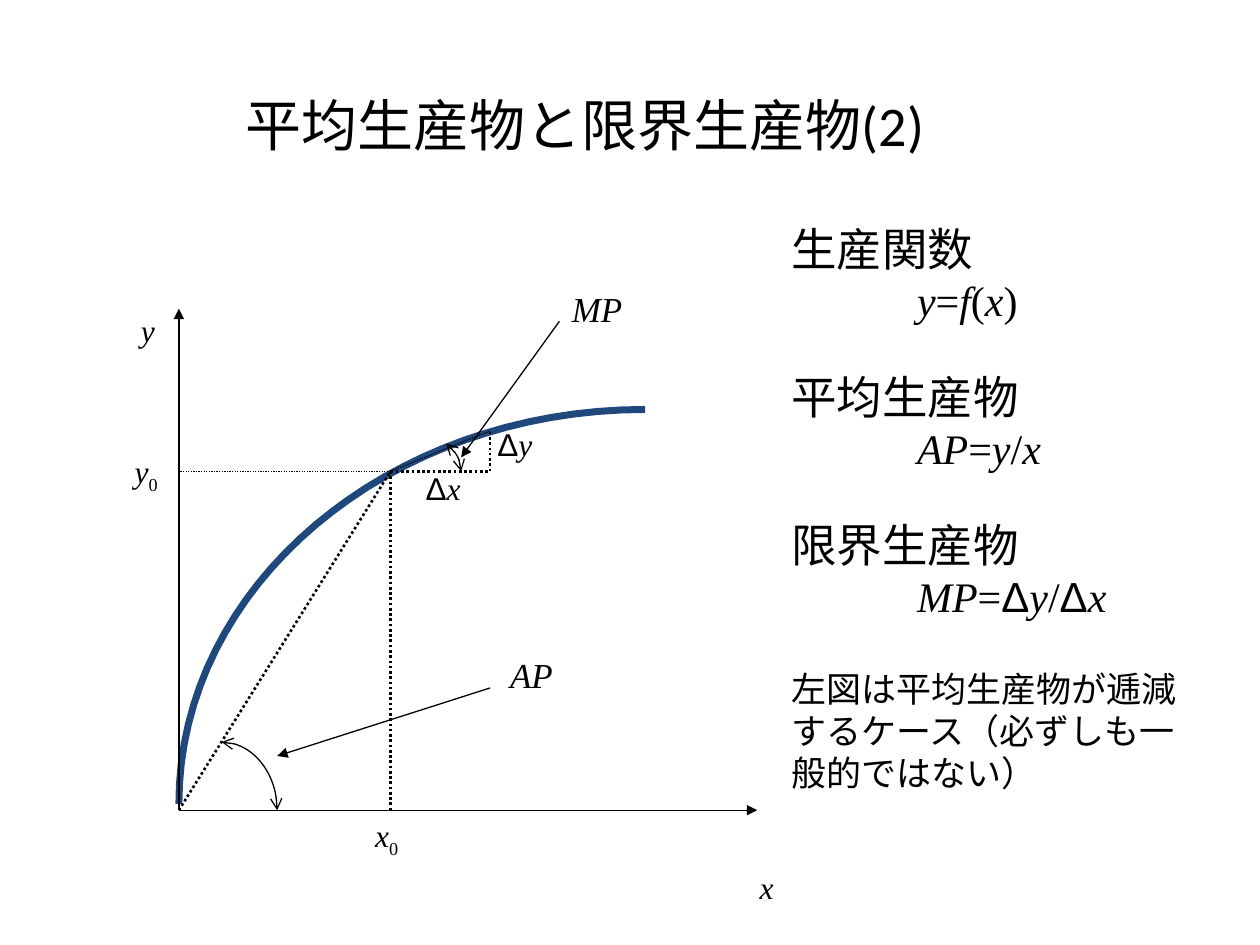
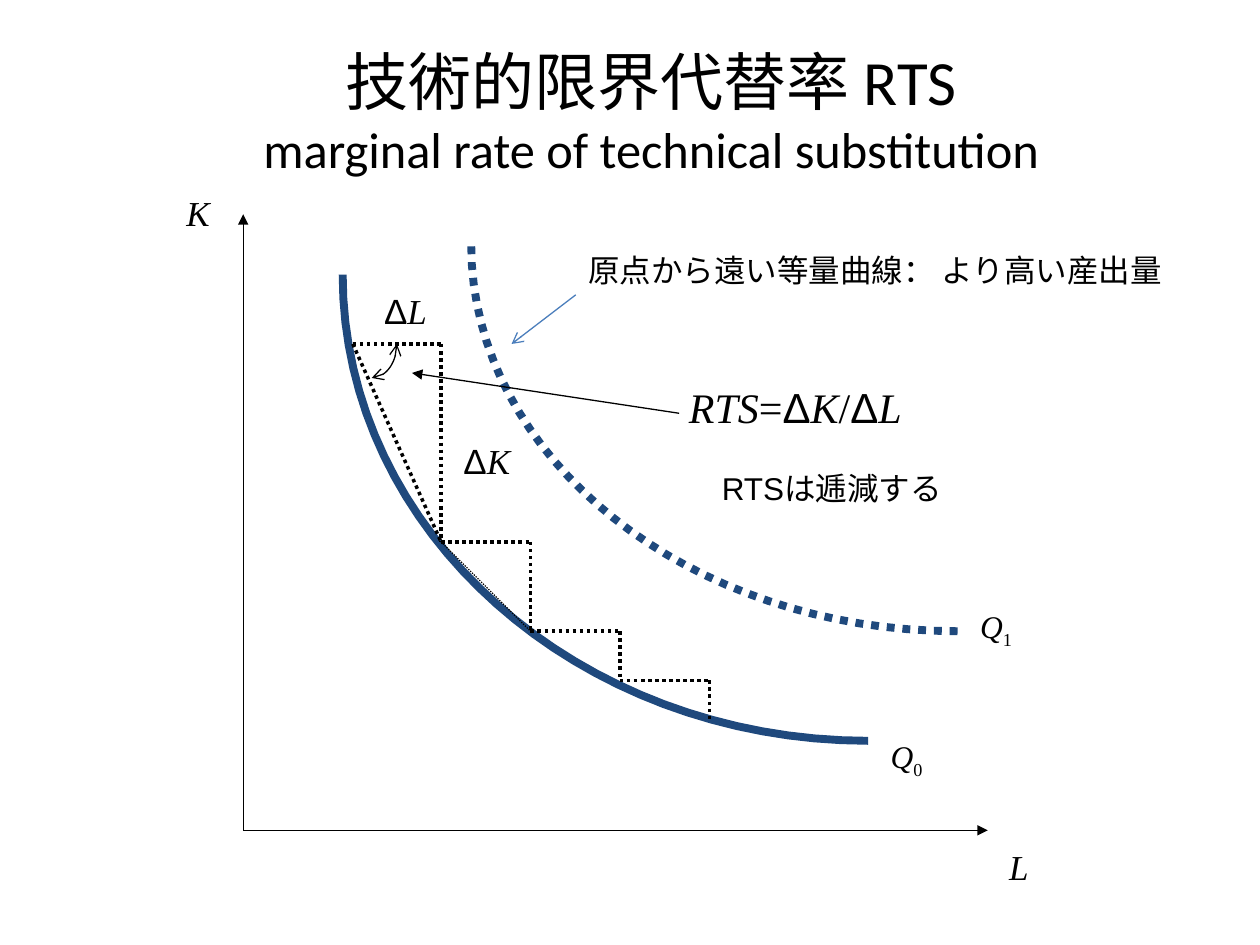
from itertools import groupby
from lxml import etree
from pptx import Presentation
from pptx.dml.color import RGBColor
from pptx.enum.dml import MSO_LINE
from pptx.enum.shapes import MSO_CONNECTOR
from pptx.enum.text import MSO_ANCHOR, PP_ALIGN
from pptx.oxml.ns import qn
from pptx.util import Inches, Pt

STRAIGHT = MSO_CONNECTOR.STRAIGHT
DOTTED = MSO_LINE.ROUND_DOT
MIDDLE = MSO_ANCHOR.MIDDLE
CENTER = PP_ALIGN.CENTER
BLACK, NAVY, BLUE = "000000", "1F497D", "4B7EBC"
SERIF, SANS, TITLE_FONT = "Times New Roman", "Arial", "Calibri"
CURVE_STEPS = 32


def stroke(shape, color, width, dash=None, head=None, tail=None):
    shape.line.color.rgb = RGBColor.from_string(color)
    shape.line.width = Pt(width)
    if dash:
        shape.line.dash_style = dash
    ln = shape.line._get_or_add_ln()
    for end, kind in (("a:headEnd", head), ("a:tailEnd", tail)):
        if kind:
            etree.SubElement(ln, qn(end)).set("type", kind)


def write(paragraph, text, size, font=None):
    if font:
        pieces = [(font, text)]
    else:
        kinds = groupby(text, lambda c: "delta" if c == "Δ" else "index" if c.isdigit()
                        else "variable" if c.isalpha() else "sign")
        pieces = [(kind, "".join(chars)) for kind, chars in kinds]
    for kind, piece in pieces:
        run = paragraph.add_run()
        run.text = piece
        run.font.size = Pt(size)
        run.font.name = font or (SANS if kind == "delta" else SERIF)
        run.font.italic = kind == "variable"
        run.font.color.rgb = RGBColor.from_string(BLACK)
        if kind == "index":
            run._r.get_or_add_rPr().set("baseline", "-25000")


prs = Presentation()
prs.slide_width, prs.slide_height = Inches(10), Inches(7.5)

product_title = ((0.35, 0.44, 8.58, 1.09), [("平均生産物と限界生産物(2)", 32)])
product_curves = [
    ([(5.12, 3.25), (3.08, 3.25), (1.42, 4.65), (1.42, 6.38)], NAVY, 4, None, None),
    ([(1.76, 5.89), (2, 5.89), (2.2, 6.13), (2.2, 6.43)], BLACK, 0.75, None, "arrow"),
    ([(3.54, 3.52), (3.62, 3.58), (3.66, 3.66), (3.66, 3.74)], BLACK, 0.75, None, "arrow"),
]
origin, point, stepped, risen = (1.42, 6.43), (3.1, 3.74), (3.89, 3.74), (3.89, 3.42)
product_lines = [
    (origin, (6.01, 6.43), BLACK, 0.75, None, "triangle"),
    (origin, (1.42, 2.45), BLACK, 0.75, None, "triangle"),
    (origin, point, BLACK, 1.5, DOTTED, None),
    (point, (3.1, 6.43), BLACK, 1.5, DOTTED, None),
    (point, (1.42, 3.74), BLACK, 0.75, DOTTED, None),
    (point, stepped, BLACK, 1.5, DOTTED, None),
    (stepped, risen, BLACK, 1.5, DOTTED, None),
    (point, risen, BLACK, 0.75, DOTTED, None),
    ((3.89, 5.46), (2.2, 6), BLACK, 0.75, None, "triangle"),
    ((4.44, 2.55), (3.66, 3.63), BLACK, 0.75, None, "triangle"),
]
product_labels = [
    ("y0", (0.97, 3.54, 0.56, 0.4), 18, None),
    ("x", (5.93, 6.84, 0.38, 0.4), 18, None),
    ("x0", (2.88, 6.43, 0.56, 0.4), 18, None),
    ("y", (1.02, 2.42, 0.39, 0.4), 18, None),
    ("Δx", (3.28, 3.67, 0.67, 0.55), 18, None),
    ("Δy", (3.85, 3.32, 0.67, 0.55), 18, None),
    ("AP", (3.95, 5.14, 0.9, 0.44), 20, None),
    ("MP", (4.44, 2.23, 0.9, 0.44), 20, None),
]

rts_title = ((0.67, 0.25, 9, 1.25),
             [("技術的限界代替率 RTS", 36), ("marginal rate of technical substitution", 28.8)])
rts_curves = [
    ([(6.89, 5.88), (4.59, 5.88), (2.72, 4.22), (2.72, 2.18)], NAVY, 4.5, None, None),
    ([(7.6, 5.01), (5.47, 5.01), (3.74, 3.64), (3.74, 1.94)], NAVY, 4.5, DOTTED, None),
    ([(3.15, 2.73), (3.15, 2.88), (3.06, 3), (2.95, 3)], BLACK, 0.75, None, "arrow"),
]
rts_lines = [
    ((1.93, 6.59), (7.84, 6.59), BLACK, 0.75, None, "triangle"),
    ((1.93, 6.59), (1.93, 1.7), BLACK, 0.75, None, "triangle"),
    ((2.8, 2.73), (3.5, 4.3), BLACK, 2, DOTTED, None),
    ((3.5, 4.3), (4.21, 5.01), BLACK, 0.75, DOTTED, None),
    ((5.39, 3.28), (3.27, 2.96), BLACK, 0.75, None, "triangle"),
    ((4.57, 2.34), (4.06, 2.73), BLUE, 0.75, None, "arrow"),
]
stairs = [(2.8, 2.73), (3.5, 4.3), (4.21, 5.01), (4.92, 5.4), (5.63, 5.72)]
for (left, top), (right, bottom) in zip(stairs, stairs[1:]):
    rts_lines.append(((left, top), (right, top), BLACK, 2, DOTTED, None))
    rts_lines.append(((right, top), (right, bottom), BLACK, 2, DOTTED, None))
rts_labels = [
    ("原点から遠い等量曲線： より高い産出量", (4.57, 1.94, 4.92, 0.4), 18, SANS),
    ("Q0", (6.97, 5.8, 0.55, 0.4), 18, None),
    ("Q1", (7.68, 4.77, 0.55, 0.4), 18, None),
    ("K", (1.38, 1.47, 0.39, 0.43), 20, None),
    ("L", (7.91, 6.66, 0.55, 0.43), 20, None),
    ("ΔL", (2.95, 2.25, 0.63, 0.43), 20, None),
    ("ΔK", (3.58, 3.44, 0.63, 0.43), 20, None),
    ("RTS=ΔK/ΔL", (5.37, 2.98, 2.23, 0.5), 24, None),
    ("RTSは逓減する", (5.63, 3.67, 2.99, 0.4), 18, SANS),
]

for (title_box, title_rows), curves, lines, labels in (
    (product_title, product_curves, product_lines, product_labels),
    (rts_title, rts_curves, rts_lines, rts_labels),
):
    slide = prs.slides.add_slide(prs.slide_layouts[6])
    title = slide.shapes.add_textbox(*map(Inches, title_box)).text_frame
    title.word_wrap = True
    title.vertical_anchor = MIDDLE
    for row, (text, size) in enumerate(title_rows):
        paragraph = title.add_paragraph() if row else title.paragraphs[0]
        paragraph.alignment = CENTER
        write(paragraph, text, size, TITLE_FONT)

    for controls, color, width, dash, arrow in curves:
        points = []
        for step in range(CURVE_STEPS + 1):
            t = step / CURVE_STEPS
            weights = ((1 - t) ** 3, 3 * t * (1 - t) ** 2, 3 * t ** 2 * (1 - t), t ** 3)
            points.append([Inches(sum(w * c for w, c in zip(weights, axis)))
                           for axis in zip(*controls)])
        builder = slide.shapes.build_freeform(*points[0])
        builder.add_line_segments(points[1:], close=False)
        curve = builder.convert_to_shape()
        curve.fill.background()
        curve.shadow.inherit = False
        stroke(curve, color, width, dash, arrow, arrow)

    for start, end, color, width, dash, tail in lines:
        line = slide.shapes.add_connector(STRAIGHT, *map(Inches, start + end))
        stroke(line, color, width, dash, tail=tail)
        etree.SubElement(line._element.spPr, qn("a:effectLst"))

    for text, box, size, font in labels:
        label = slide.shapes.add_textbox(*map(Inches, box)).text_frame
        label.word_wrap = True
        write(label.paragraphs[0], text, size, font)

definitions = prs.slides[0].shapes.add_textbox(*map(Inches, (6.18, 1.75, 3.46, 4.88))).text_frame
definitions.word_wrap = True
for row, (term, formula) in enumerate([
    ("生産関数", "y=f(x)"), ("平均生産物", "AP=y/x"), ("限界生産物", "MP=Δy/Δx"),
]):
    heading = definitions.add_paragraph() if row else definitions.paragraphs[0]
    heading.line_spacing = Pt(28)
    heading.space_before = Pt(28.5 if row else 0)
    write(heading, term, 26, TITLE_FONT)
    equation = definitions.add_paragraph()
    equation.line_spacing = Pt(28)
    equation._p.get_or_add_pPr().set("marL", str(Inches(1)))
    write(equation, formula, 24)
remark = definitions.add_paragraph()
remark.line_spacing = Pt(24)
remark.space_before = Pt(27)
write(remark, "左図は平均生産物が逓減するケース（必ずしも一般的ではない）", 20, SERIF)

prs.save("out.pptx")
